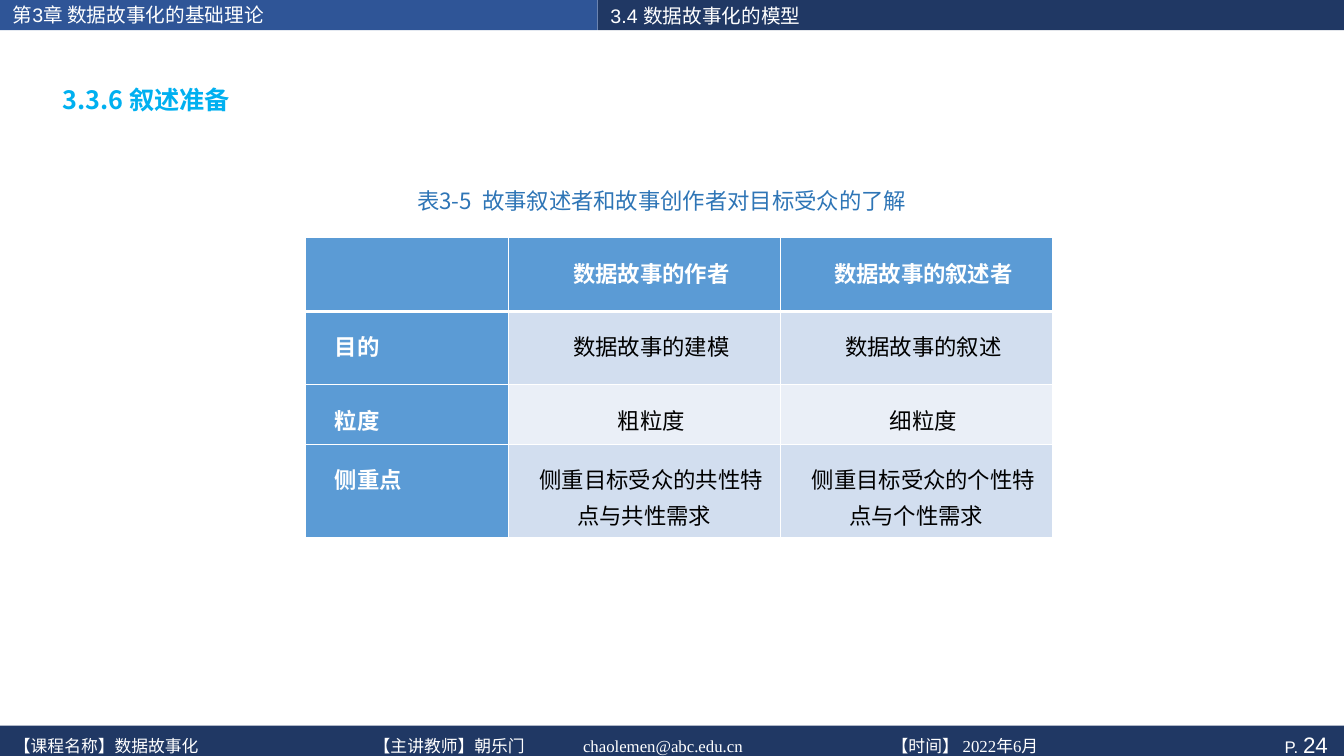
from pptx import Presentation
from pptx.dml.color import RGBColor
from pptx.enum.shapes import MSO_SHAPE
from pptx.enum.text import MSO_ANCHOR, MSO_AUTO_SIZE, PP_ALIGN
from pptx.oxml.ns import qn
from pptx.util import Pt
from lxml.etree import SubElement

WIDTH, HEIGHT = 960, 540
ARIAL, TIMES, NOTO = "Arial", "Times New Roman", "Noto Sans CJK SC"
WHITE, BLACK, NAVY, BLUE = "FFFFFF", "000000", "203864", "5B9BD5"
LEFT, CENTER, RIGHT = PP_ALIGN.LEFT, PP_ALIGN.CENTER, PP_ALIGN.RIGHT


def rgb(color):
    """Turn a hex string into a colour."""
    return RGBColor.from_string(color)


def add_text(p, text, size=16, font=ARIAL, color=WHITE, bold=False,
             align=LEFT, spacing=None, indent=0, tabs=()):
    """Add a formatted run to paragraph p and format the paragraph."""
    r = p.add_run()
    r.text = text
    r.font.size, r.font.name, r.font.bold = Pt(size), font, bold
    r.font.color.rgb = rgb(color)
    SubElement(r.font._element, qn("a:ea"), typeface=NOTO)
    p.alignment = align
    if spacing:
        p.line_spacing = spacing
    pPr = p._p.get_or_add_pPr()
    if indent:
        pPr.set("marL", "0")
        pPr.set("indent", str(Pt(indent)))
    if tabs:
        stops = SubElement(pPr, qn("a:tabLst"))
        for tab in tabs:
            SubElement(stops, qn("a:tab"), pos=str(Pt(tab)), algn="l")


def add_border(cell, side, width):
    """Draw a white border on one side of a cell."""
    ln = SubElement(cell._tc.get_or_add_tcPr(), qn("a:ln" + side), w=str(Pt(width)))
    SubElement(SubElement(ln, qn("a:solidFill")), qn("a:srgbClr"), val=WHITE)


class Deck:
    """Holds the presentation and its current slide."""

    def __init__(self):
        """Open a wide presentation with one title-only slide."""
        self.prs = Presentation()
        self.prs.slide_width, self.prs.slide_height = Pt(WIDTH), Pt(HEIGHT)
        self.s = self.prs.slides.add_slide(self.prs.slide_layouts[5])

    def bar(self, x, y, w, h, color):
        """Add a plain bar and return its first paragraph."""
        sp = self.s.shapes.add_shape(MSO_SHAPE.RECTANGLE, Pt(x), Pt(y), Pt(w), Pt(h))
        sp.shadow.inherit = False
        sp.fill.solid()
        sp.fill.fore_color.rgb = rgb(color)
        sp.line.fill.background()
        sp.text_frame.vertical_anchor = MSO_ANCHOR.MIDDLE
        return sp.text_frame.paragraphs[0]

    def label(self, x, y, w, h, text, **style):
        """Add a text box."""
        tf = self.s.shapes.add_textbox(Pt(x), Pt(y), Pt(w), Pt(h)).text_frame
        tf.word_wrap = True
        add_text(tf.paragraphs[0], text, **style)

    def title(self, x, y, w, h, text, **style):
        """Place and format the title."""
        sp = self.s.shapes.title
        sp.left, sp.top, sp.width, sp.height = Pt(x), Pt(y), Pt(w), Pt(h)
        tf = sp.text_frame
        tf.auto_size, tf.vertical_anchor = MSO_AUTO_SIZE.NONE, MSO_ANCHOR.TOP
        add_text(tf.paragraphs[0], text, **style)

    def table(self, x, y, widths, heights, rows):
        """Add a table with a header row, a header column and banded rows."""
        table = self.s.shapes.add_table(len(rows), len(widths), Pt(x), Pt(y),
                                        Pt(sum(widths)), Pt(sum(heights))).table
        for column, width in zip(table.columns, widths):
            column.width = Pt(width)
        for i, (row, height) in enumerate(zip(rows, heights)):
            table.rows[i].height = Pt(height)
            for j, text in enumerate(row):
                self.cell(table.cell(i, j), i, j, text)

    def cell(self, cell, i, j, text):
        """Fill and format the cell in row i and column j."""
        head = i == 0 or j == 0
        cell.margin_left = cell.margin_right = Pt(10.8)
        cell.margin_top = cell.margin_bottom = Pt(10.8)
        for side, width in (("L", 1), ("R", 1), ("T", 3 if i == 1 else 1),
                            ("B", 3 if i == 0 else 1)):
            add_border(cell, side, width)
        cell.fill.solid()
        cell.fill.fore_color.rgb = rgb(BLUE if head else ("EAEFF7", "D2DEEF")[i % 2])
        if text:
            add_text(cell.text_frame.paragraphs[0], text, bold=head,
                     color=WHITE if head else BLACK,
                     align=CENTER if j else LEFT, spacing=1.1, indent=10.08)


deck = Deck()

# Header and footer
SPLIT, BAR = 427, 21.6
deck.bar(0, 0, SPLIT, BAR, "2F5597")
page = deck.bar(0, 518.4, WIDTH, 26.6, NAVY)
add_text(page, "P. ", size=12, align=RIGHT)
add_text(page, "24 ", size=16, align=RIGHT)
deck.bar(SPLIT, 0, WIDTH - SPLIT, BAR, NAVY)
deck.label(2.9, 522, 844.6, 22.3,
           "【课程名称】数据故事化\t【主讲教师】朝乐门\tchaolemen@abc.edu.cn\t【时间】 2022年6月",
           size=12, font=TIMES, tabs=(257, 406.5, 627))
deck.label(2, -1.4, 300, 24.2, "第3章 数据故事化的基础理论", size=14)
deck.label(429, -0.7, 210, 24.2, "3.4 数据故事化的模型", size=14)

# Content
deck.title(37.4, 54.7, 481, 30.2, "3.3.6 叙述准备", size=18, font=NOTO,
           color="00B0F0", bold=True, spacing=1.1)
deck.table(218.3, 169.9, (144.7, 194.4, 194.4), (52.5, 52.5, 42.5, 66.2), (
    ("", "数据故事的作者", "数据故事的叙述者"),
    ("目的", "数据故事的建模", "数据故事的叙述"),
    ("粒度", "粗粒度", "细粒度"),
    ("侧重点", "侧重目标受众的共性特点与共性需求", "侧重目标受众的个性特点与个性需求"),
))
deck.label(270, 128.2, 481, 28.8, "表3-5  故事叙述者和故事创作者对目标受众的了解",
           font=NOTO, color="2E75B6", spacing=1.1, indent=20.9)

deck.prs.save("out.pptx")
